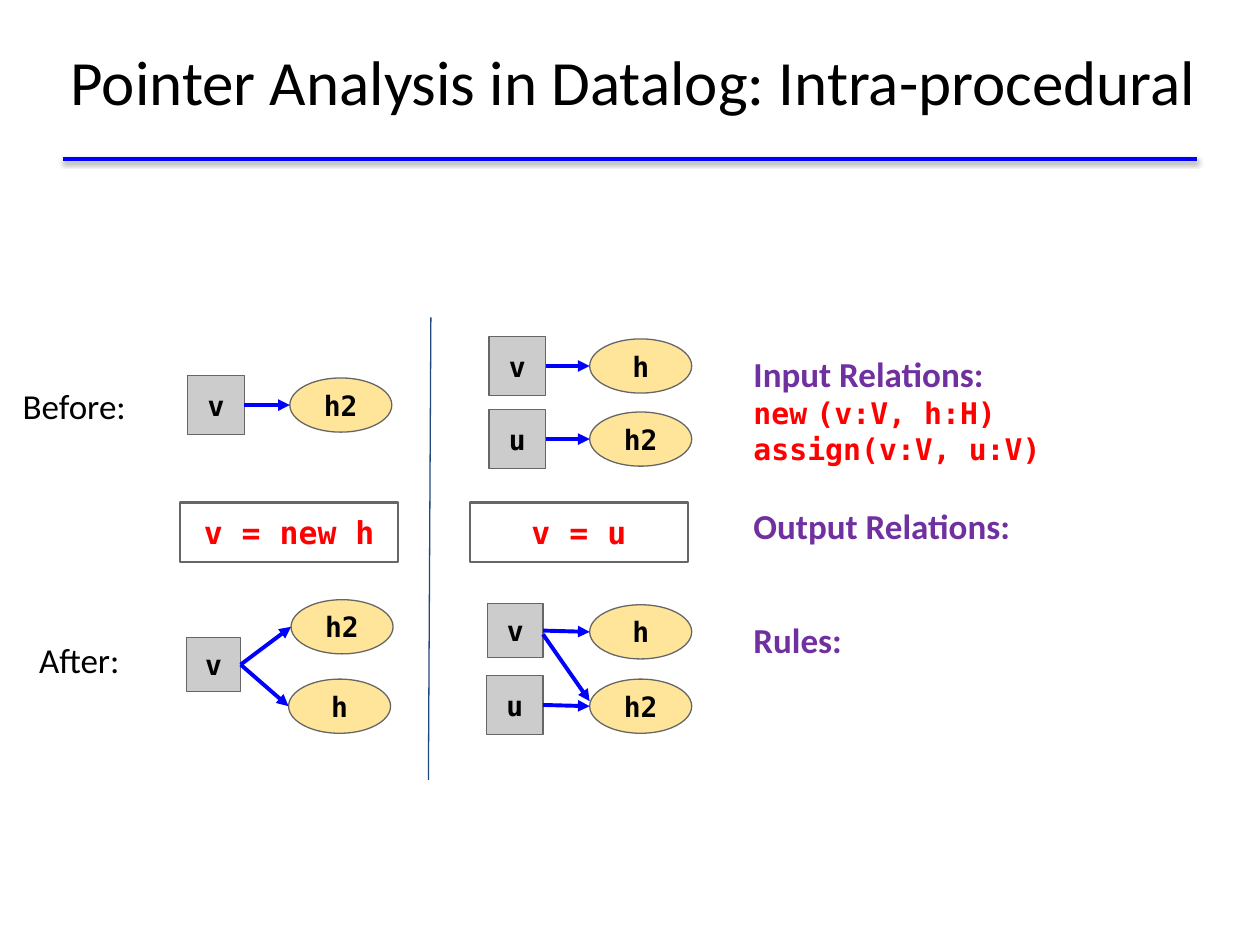
"""Build the slide on intra-procedural pointer analysis in Datalog."""
import pptx
import pptx.util
import pptx.dml.color
import pptx.enum.shapes
import pptx.enum.text
import pptx.oxml
import pptx.oxml.ns

Inches, Pt = pptx.util.Inches, pptx.util.Pt
RGB = pptx.dml.color.RGBColor
SHAPE = pptx.enum.shapes.MSO_SHAPE
ALIGN = pptx.enum.text.PP_ALIGN
ANCHOR = pptx.enum.text.MSO_ANCHOR

BLACK, WHITE = RGB(0, 0, 0), RGB(0xFF, 0xFF, 0xFF)
BLUE, NAVY = RGB(0, 0, 0xFF), RGB(0x1F, 0x49, 0x7D)
RED, PURPLE = RGB(0xFF, 0, 0), RGB(0x70, 0x30, 0xA0)
GRAY, EDGE = RGB(0xCC, 0xCC, 0xCC), RGB(0x66, 0x66, 0x66)
YELLOW = RGB(0xFF, 0xE5, 0x99)
SANS, MONO = "Calibri", "DejaVu Sans Mono"

TITLE = "Pointer Analysis in Datalog: Intra-procedural"
HEADING, RELATION = (20, SANS, PURPLE, True), (17, MONO, RED, True)
RELATIONS = [
    ("Input Relations:", HEADING, 0),
    ("new\t(v:V, h:H)", RELATION, 0),
    ("assign(v:V, u:V)", RELATION, 0),
    ("Output Relations:", HEADING, 22),
    ("Rules:", HEADING, 41),
]
STATEMENTS = [("v = new h", 1.43), ("v = u", 3.73)]
STAGES = [("Before:", 0.01, 2.95, 1.16, 0.65), ("After:", 0, 4.97, 1.26, 0.71)]
VARIABLES = {
    "new before v": (1.49, 2.98, 0.45, 0.47),
    "new after v": (1.48, 5.06, 0.43, 0.43),
    "assign before v": (3.88, 2.67, 0.45, 0.47),
    "assign before u": (3.88, 3.25, 0.45, 0.47),
    "assign after v": (3.87, 4.79, 0.44, 0.43),
    "assign after u": (3.86, 5.36, 0.45, 0.47),
}
HEAP = {
    "new before h2": (2.3, 3),
    "new after h2": (2.31, 4.76),
    "new after h": (2.29, 5.39),
    "assign before h": (4.68, 2.69),
    "assign before h2": (4.68, 3.27),
    "assign after h": (4.68, 4.8),
    "assign after h2": (4.68, 5.39),
}
HEAP_W, HEAP_H = 0.81, 0.43
POINTS_TO = [
    ("new before", "v", "h2", 0, 0),
    ("new after", "v", "h2", 0, 0),
    ("new after", "v", "h", 0, 0),
    ("assign before", "v", "h", 0, 0),
    ("assign before", "u", "h2", 0, 0),
    ("assign after", "v", "h", 0, 0),
    ("assign after", "u", "h2", 0, 0),
    ("assign after", "v", "h2", 0.03, -0.04),
]
SHADOW = ('<a:outerShdw blurRad="39370" dist="20320" dir="5400000" rotWithShape="0">'
          '<a:srgbClr val="000000"><a:alpha val="38000"/></a:srgbClr></a:outerShdw>')


def add_xml(parent, tag, attrs="", inner=""):
    ns = pptx.oxml.ns.nsdecls("a")
    parent.append(pptx.oxml.parse_xml(f"<a:{tag} {ns} {attrs}>{inner}</a:{tag}>"))


def style(p, size, name, color, bold=False, align=None):
    p.alignment = align
    p.font.size, p.font.name, p.font.bold = Pt(size), name, bold
    p.font.color.rgb = color


def frame(sp, anchor):
    tf = sp.text_frame
    tf.word_wrap = True
    tf.auto_size = pptx.enum.text.MSO_AUTO_SIZE.NONE
    tf.vertical_anchor = anchor
    tf.margin_left = tf.margin_right = tf.margin_top = tf.margin_bottom = Inches(0.1)
    return tf


def place(sp, *box):
    sp.left, sp.top, sp.width, sp.height = map(Inches, box)


def add_line(s, start, end, color, width, arrow=False, effect=""):
    kind = pptx.enum.shapes.MSO_CONNECTOR.STRAIGHT
    c = s.shapes.add_connector(kind, *map(Inches, (*start, *end)))
    c.line.color.rgb, c.line.width = color, Pt(width)
    if arrow:
        add_xml(c.line._get_or_add_ln(), "tailEnd", 'type="triangle"')
    add_xml(c._element.spPr, "effectLst", inner=effect)


def add_node(s, kind, text, box, fill, width=0.75, size=16, color=BLACK):
    sp = s.shapes.add_shape(kind, *map(Inches, box))
    sp.shadow.inherit = False
    sp.fill.solid()
    sp.fill.fore_color.rgb = fill
    sp.line.color.rgb, sp.line.width = EDGE, Pt(width)
    p = frame(sp, ANCHOR.MIDDLE).paragraphs[0]
    p.text = text
    style(p, size, MONO, color, True, ALIGN.CENTER)


def add_relations(sp):
    place(sp, 5.88, 2.7, 3.95, 3.95)
    tf = frame(sp, ANCHOR.TOP)
    for i, (text, look, gap) in enumerate(RELATIONS):
        p = tf.add_paragraph() if i else tf.paragraphs[0]
        p.text = text
        pPr = p._p.get_or_add_pPr()
        pPr.set("marL", "0")
        pPr.set("indent", "0")
        add_xml(pPr, "buNone")
        if "\t" in text:
            add_xml(pPr, "tabLst", inner=f'<a:tab pos="{Inches(0.85)}" algn="l"/>')
        p.space_before = Pt(gap)
        style(p, *look)


def main():
    prs = pptx.Presentation()
    prs.slide_width, prs.slide_height = Inches(10), Inches(7.5)
    s = prs.slides.add_slide(prs.slide_layouts[1])

    add_line(s, (0.5, 1.26), (9.5, 1.26), BLUE, 2, effect=SHADOW)
    add_line(s, (3.42, 2.52), (3.4, 6.19), NAVY, 0.75)

    title = s.shapes.title
    place(title, 0.4, 0.01, 9.25, 1.25)
    p = frame(title, ANCHOR.MIDDLE).paragraphs[0]
    p.text = TITLE
    style(p, 36, SANS, BLACK, align=ALIGN.CENTER)
    add_relations(s.placeholders[1])

    for text, left in STATEMENTS:
        add_node(s, SHAPE.RECTANGLE, text, (left, 3.99, 1.73, 0.47), WHITE, 1.5, 18, RED)
    for name, box in VARIABLES.items():
        add_node(s, SHAPE.RECTANGLE, name.split()[-1], box, GRAY)
    for name, corner in HEAP.items():
        add_node(s, SHAPE.OVAL, name.split()[-1], (*corner, HEAP_W, HEAP_H), YELLOW)
    for state, variable, target, start_dy, end_dy in POINTS_TO:
        left, top, width, height = VARIABLES[f"{state} {variable}"]
        x, y = HEAP[f"{state} {target}"]
        add_line(s, (left + width, top + height / 2 + start_dy),
                 (x, y + HEAP_H / 2 + end_dy), BLUE, 2.25, arrow=True)

    for text, *box in STAGES:
        sp = s.shapes.add_textbox(*map(Inches, box))
        p = frame(sp, ANCHOR.TOP).paragraphs[0]
        p.text = text
        style(p, 20, SANS, BLACK, align=ALIGN.CENTER)

    prs.save("out.pptx")


if __name__ == "__main__":
    main()
